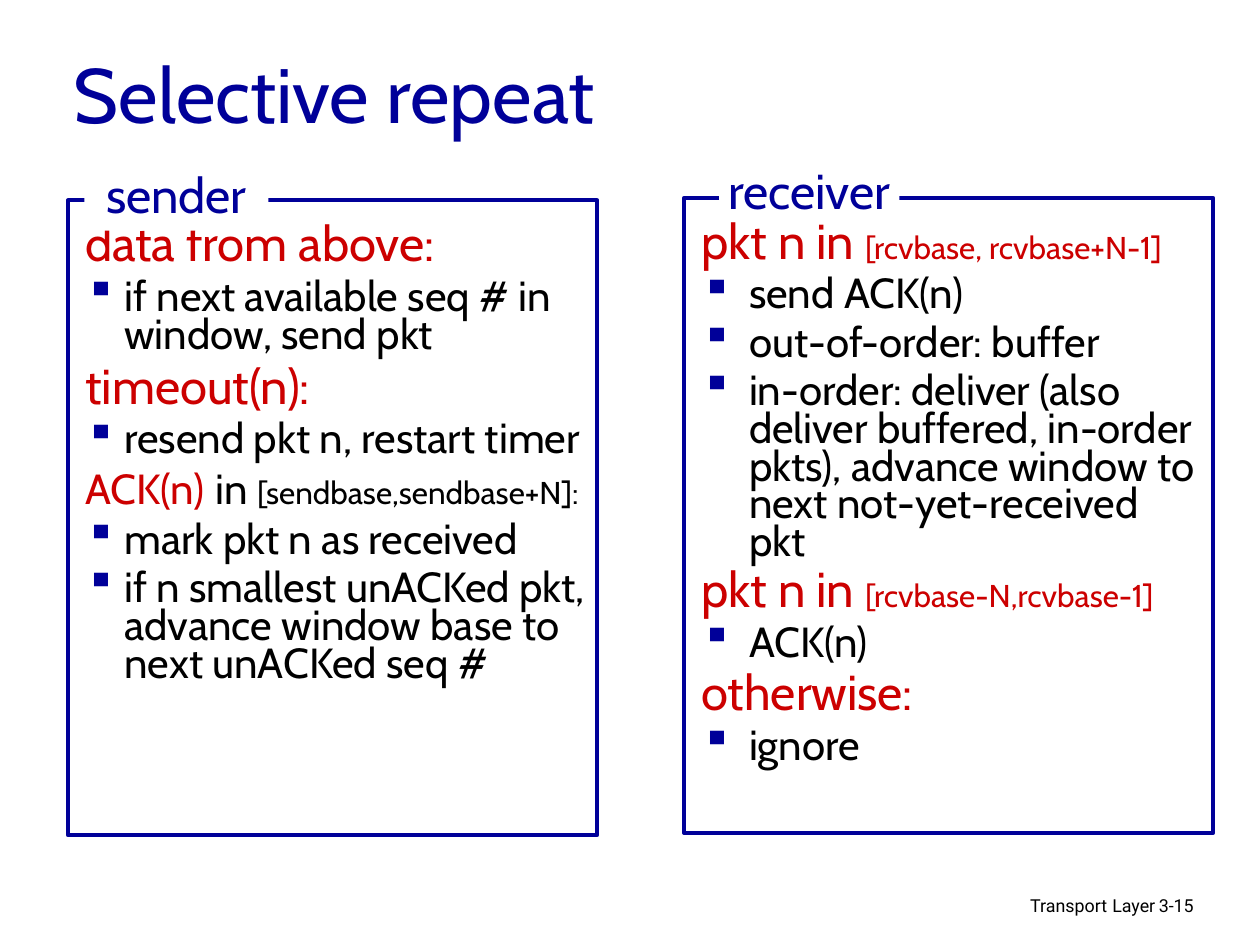
from dataclasses import dataclass

from lxml.etree import SubElement
from pptx import Presentation
from pptx.dml.color import RGBColor as Rgb
from pptx.enum.shapes import MSO_SHAPE as Shape
from pptx.enum.text import MSO_ANCHOR as Anchor, PP_ALIGN as Align
from pptx.oxml.ns import qn
from pptx.util import Cm, Pt

BLUE = Rgb(0x00, 0x00, 0x99)
RED = Rgb(0xCC, 0x00, 0x00)
BLACK = Rgb(0x00, 0x00, 0x00)
WHITE = Rgb(0xFF, 0xFF, 0xFF)


@dataclass(frozen=True)
class Box:
    x: float
    y: float
    w: float
    h: float

    def cm(self) -> tuple:
        return Cm(self.x), Cm(self.y), Cm(self.w), Cm(self.h)


@dataclass(frozen=True)
class Bit:
    text: str
    size: float
    color: Rgb = BLACK


@dataclass(frozen=True)
class Line:
    bits: tuple
    before: float = 0
    space: float = 1.0
    bullet: bool = False
    indent: float = 0
    align: Align = Align.LEFT
    face: str = "Cabin"


@dataclass(frozen=True)
class Panel:
    name: str
    x: float
    y: float
    indent: float
    plate: Box
    label: Box
    rows: tuple


def head(*bits: Bit, before: float = 4.5) -> tuple:
    return bits, before, False


def item(text: str) -> tuple:
    return (Bit(text, 24),), 6, True


def set_font(font, bit: Bit) -> None:
    font.size = Pt(bit.size)
    font.color.rgb = bit.color


def fill_line(para, line: Line) -> None:
    para.alignment = line.align
    para.line_spacing = line.space
    para.space_before = Pt(line.before)
    props = para._p.get_or_add_pPr()
    props.set("marL", str(Cm(line.indent)))
    props.set("indent", str(-Cm(line.indent)))
    if line.bullet:
        tint = SubElement(props, qn("a:buClr"))
        SubElement(tint, qn("a:srgbClr")).set("val", str(BLUE))
        SubElement(props, qn("a:buChar")).set("char", "▪")
    para.font.name = line.face
    if len(line.bits) == 1:
        set_font(para.font, line.bits[0])
    for bit in line.bits:
        run = para.add_run()
        run.text = bit.text
        if len(line.bits) > 1:
            set_font(run.font, bit)


def add_text(slide, box: Box, lines: list[Line], wrap: bool = True,
             anchor: Anchor = Anchor.TOP) -> None:
    frame = slide.shapes.add_textbox(*box.cm()).text_frame
    frame.word_wrap = wrap
    frame.vertical_anchor = anchor
    for i, line in enumerate(lines):
        fill_line(frame.add_paragraph() if i else frame.paragraphs[0], line)


def add_rect(slide, box: Box, fill: Rgb | None = None) -> None:
    rect = slide.shapes.add_shape(Shape.RECTANGLE, *box.cm())
    rect.shadow.inherit = False
    if fill is None:
        rect.fill.background()
        rect.line.color.rgb = BLUE
        rect.line.width = Pt(2.25)
    else:
        rect.fill.solid()
        rect.fill.fore_color.rgb = fill
        rect.line.fill.background()


def add_panel(slide, panel: Panel) -> None:
    # Text first, then the frame, then the label that breaks its top edge
    lines = [Line(bits, before, 0.75, dot, panel.indent)
             for bits, before, dot in panel.rows]
    add_text(slide, Box(panel.x + 0.1, panel.y + 0.4, 10.59, 12.9), lines)
    add_rect(slide, Box(panel.x, panel.y, 10.67, 12.8))
    add_rect(slide, panel.plate, WHITE)
    add_text(slide, panel.label,
             [Line((Bit(panel.name, 28, BLUE),), align=Align.CENTER)], wrap=False)


TAB = Box(1.7, 3.2, 3.71, 1.45)
SENDER = Panel("sender", 1.37, 4.04, 0.79, TAB, TAB, (
    head(Bit("data from above:", 28, RED), before=7),
    item("if next available seq # in window, send pkt"),
    head(Bit("timeout(n):", 28, RED), before=7),
    item("resend pkt n, restart timer"),
    head(Bit("ACK(n)", 24, RED), Bit(" ", 28, RED), Bit("in ", 24),
         Bit("[sendbase,sendbase+N]:", 18)),
    item("mark pkt n as received"),
    item("if n smallest unACKed pkt, advance window base to next unACKed seq #"),
))
RECEIVER = Panel("receiver", 13.79, 3.99, 0.96,
                 Box(14.5, 3.61, 3.63, 0.79), Box(14.2, 3.12, 4.22, 1.45), (
    head(Bit("pkt n in ", 28, RED), Bit("[rcvbase, rcvbase+N-1]", 18, RED)),
    item("send ACK(n)"),
    item("out-of-order: buffer"),
    item("in-order: deliver (also deliver buffered, in-order pkts), "
         "advance window to next not-yet-received pkt"),
    head(Bit("pkt n in ", 28, RED), Bit("[rcvbase-N,rcvbase-1]", 18, RED)),
    item("ACK(n)"),
    head(Bit("otherwise:", 28, RED), before=6),
    item("ignore"),
))


def main() -> None:
    deck = Presentation()
    deck.slide_width, deck.slide_height = Cm(25.4), Cm(19.05)
    slide = deck.slides.add_slide(deck.slide_layouts[6])

    # Footer
    name = (Bit("Transport", 10.2), Bit(" ", 11.9), Bit("Layer", 10.2))
    add_text(slide, Box(15.49, 17.91, 8.05, 0.79),
             [Line(name, space=0.9, align=Align.RIGHT, face="Roboto")])
    add_text(slide, Box(23.11, 17.96, 1.88, 0.76),
             [Line((Bit("3-15", 10.2),), space=0.9, face="Roboto")])

    # Title
    add_text(slide, Box(1.24, 0.69, 21.59, 2.34),
             [Line((Bit("Selective repeat", 44, BLUE),))], anchor=Anchor.MIDDLE)

    # Both sides of the protocol
    for panel in (SENDER, RECEIVER):
        add_panel(slide, panel)

    deck.save("out.pptx")


if __name__ == "__main__":
    main()
